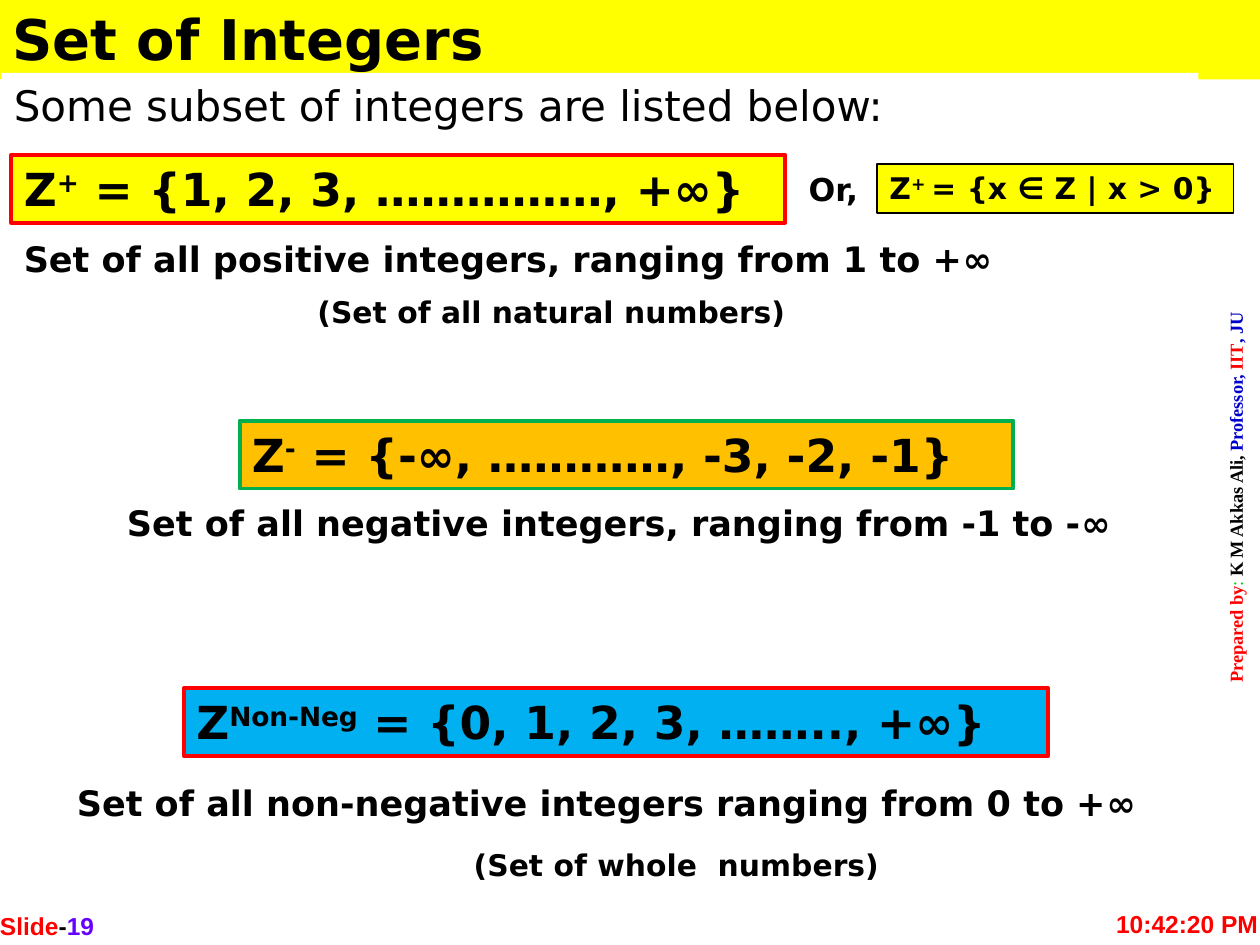
"""Build the slide on subsets of the integers."""
from dataclasses import dataclass

from pptx import Presentation
from pptx.dml.color import RGBColor
from pptx.enum.shapes import MSO_SHAPE
from pptx.enum.text import MSO_ANCHOR, PP_ALIGN
from pptx.util import Cm, Pt

RECT = MSO_SHAPE.RECTANGLE
TOP = MSO_ANCHOR.TOP
LEFT, MID, JUST = PP_ALIGN.LEFT, PP_ALIGN.CENTER, PP_ALIGN.JUSTIFY


@dataclass(frozen=True)
class Theme:
    """Hold the colours, fonts and type sizes."""
    black: str = "000000"
    white: str = "FFFFFF"
    red: str = "FF0000"
    yellow: str = "FFFF00"
    amber: str = "FFC000"
    green: str = "00B050"
    lime: str = "00CC00"
    sky: str = "00B0F0"
    navy: str = "0000CC"
    violet: str = "6600FF"
    body: str = "DejaVu Sans"
    foot: str = "Arial"
    serif: str = "Times New Roman"
    title: float = 32
    set: float = 26
    intro: float = 24
    range: float = 20
    link: float = 18
    note: float = 17
    mark: float = 14
    credit: float = 10.5


T = Theme()


@dataclass(frozen=True)
class Bit:
    """Describe one run of text."""
    text: str
    color: str = T.black
    bold: bool = True
    slant: bool = False
    raised: bool = False


@dataclass(frozen=True)
class Box:
    """Describe one text box or filled panel, in centimetres."""
    x: float
    y: float
    w: float
    h: float
    size: float
    bits: tuple[Bit, ...]
    fill: str = ""
    edge: str = ""
    width: float = 2.25
    font: str = T.body
    align: PP_ALIGN = LEFT
    wrap: bool = True
    turn: bool = False


def power(sign: str, rest: str) -> tuple[Bit, ...]:
    """Return Z with a raised sign, then the rest."""
    return Bit("Z"), Bit(sign, raised=True), Bit(rest)


def span(text: str) -> tuple[Bit, ...]:
    """Return a range caption that ends in infinity."""
    return Bit(text), Bit("∞", slant=True)


def draw(slide, box: Box) -> None:
    """Draw one box with its text."""
    area = Cm(box.x), Cm(box.y), Cm(box.w), Cm(box.h)
    if box.fill:
        shape = slide.shapes.add_shape(RECT, *area)
        shape.shadow.inherit = False
        shape.fill.solid()
        shape.fill.fore_color.rgb = RGBColor.from_string(box.fill)
        if box.edge:
            shape.line.color.rgb = RGBColor.from_string(box.edge)
            shape.line.width = Pt(box.width)
        else:
            shape.line.fill.background()
    else:
        shape = slide.shapes.add_textbox(*area)
    frame = shape.text_frame
    frame.word_wrap = box.wrap
    frame.vertical_anchor = TOP
    if box.turn:
        frame._txBody.bodyPr.set("vert", "vert270")
    para = frame.paragraphs[0]
    para.alignment = box.align
    for bit in box.bits:
        run = para.add_run()
        run.text = bit.text
        font = run.font
        font.name, font.size = box.font, Pt(box.size)
        font.bold, font.italic = bit.bold, bit.slant
        font.color.rgb = RGBColor.from_string(bit.color)
        if bit.raised:
            run._r.get_or_add_rPr().set("baseline", "30000")


BOXES = (
    Box(22.25, 18.21, 3.78, 1.32, T.mark, (Bit("10:42:20 PM", T.red),),
        font=T.foot),
    Box(24.56, 1.24, 0.97, 17.58, T.credit, (
        Bit("Prepared by", T.red), Bit(": ", T.lime, bold=False),
        Bit("K M Akkas Ali, "), Bit("Professor, ", T.navy),
        Bit("IIT", T.red), Bit(", JU", T.navy),
    ), font=T.serif, align=MID, turn=True),
    Box(0, -0.03, 25.4, 1.63, T.title, (Bit("Set of Integers"),), T.yellow),
    Box(-0.25, 18.24, 5.92, 1.32, T.mark,
        (Bit("Slide", T.red), Bit("-"), Bit("19", T.violet)), font=T.foot),
    Box(0.03, 1.47, 24.13, 1.27, T.intro,
        (Bit("Some subset of integers are listed below:", bold=False),),
        T.white, align=JUST),
    Box(0.23, 4.67, 20.19, 1.12, T.range,
        span("Set of all positive integers, ranging from 1 to +")),
    Box(0.23, 3.12, 15.6, 1.37, T.set,
        power("+", " = {1, 2, 3, ……………, +∞}"), T.yellow, T.red),
    Box(2.31, 9.98, 20.47, 1.12, T.range,
        span("Set of all negative integers, ranging from -1 to -")),
    Box(4.83, 8.48, 15.6, 1.37, T.set,
        power("-", " = {-∞, …………, -3, -2, -1}"), T.amber, T.green),
    Box(1.3, 15.62, 22, 1.12, T.range,
        span("Set of all non-negative integers ranging from 0 to +")),
    Box(3.71, 13.87, 17.42, 1.37, T.set,
        power("Non-Neg", " = {0, 1, 2, 3, …….., +∞}"), T.sky, T.red),
    Box(9.3, 16.94, 9.68, 0.99, T.note, (Bit("(Set of whole  numbers)"),)),
    Box(6.15, 5.79, 10.49, 0.99, T.note,
        (Bit("(Set of all natural numbers)"),)),
    Box(17.68, 3.3, 7.19, 0.99, T.note,
        power("+ ", "= {x ∈ Z | x > 0}"), T.yellow, T.black, 1, wrap=False),
    Box(16.05, 3.3, 1.83, 1.02, T.link, (Bit("Or,"),), wrap=False),
)


def main() -> None:
    """Build and save the slide."""
    deck = Presentation()
    deck.slide_width, deck.slide_height = Cm(25.4), Cm(19.05)
    slide = deck.slides.add_slide(deck.slide_layouts[6])
    for box in BOXES:
        draw(slide, box)
    deck.save("out.pptx")


if __name__ == "__main__":
    main()
